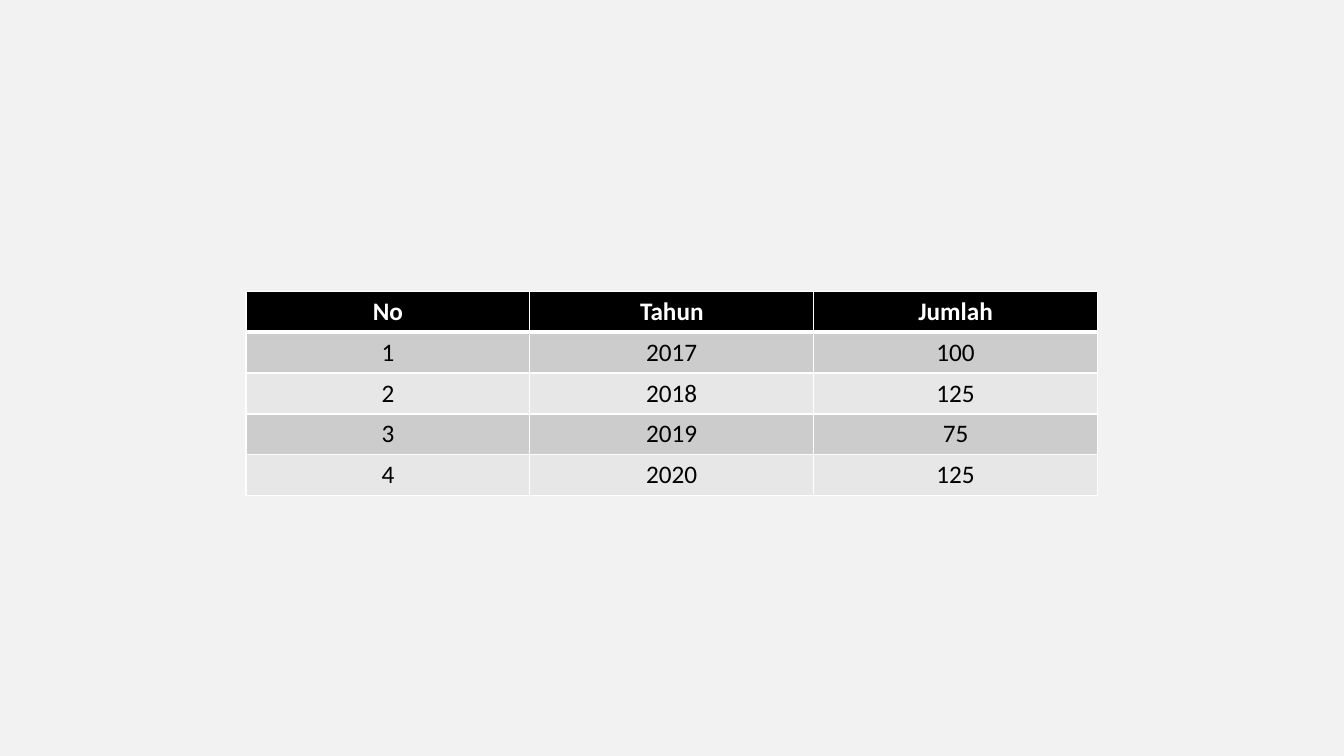
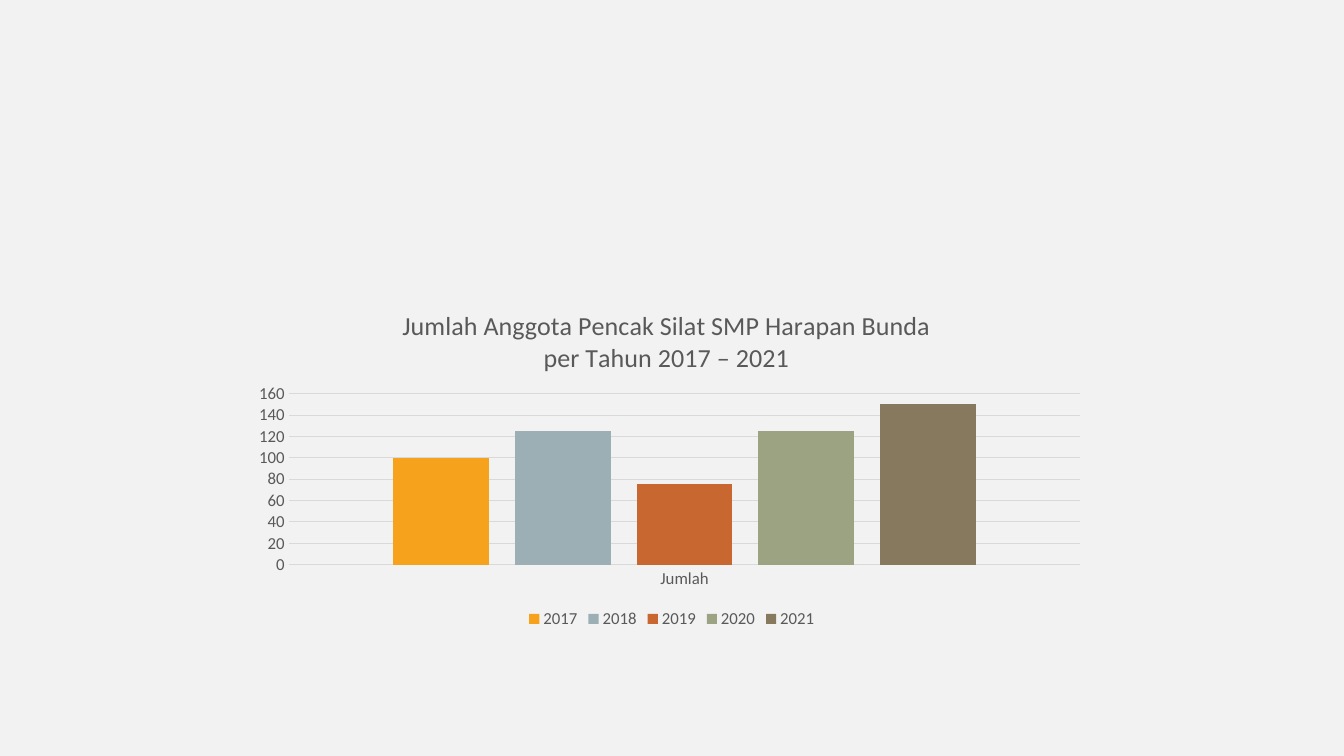
import pptx
import pptx.chart.data
import pptx.dml.color
import pptx.enum.chart
import pptx.enum.text
import pptx.oxml
import pptx.oxml.ns
import pptx.util

Cm = pptx.util.Cm
Pt = pptx.util.Pt
enum = pptx.enum.chart

ROWS = [
    ("No", "Tahun", "Jumlah"),
    ("1", "2017", "100"),
    ("2", "2018", "125"),
    ("3", "2019", "75"),
    ("4", "2020", "125"),
]
TITLE = ("Jumlah Anggota Pencak Silat SMP Harapan Bunda", "per Tahun 2017 – 2021")
GROUP = "Jumlah"
BARS = [
    ("2017", 100, "amber"),
    ("2018", 125, "steel"),
    ("2019", 75, "rust"),
    ("2020", 125, "sage"),
    ("2021", 150, "brown"),
]
COLORS = {
    "page": "F2F2F2", "white": "FFFFFF", "black": "000000",
    "dark": "CCCCCC", "light": "E7E7E7", "text": "595959", "grid": "D9D9D9",
    "amber": "F6A21D", "steel": "9BAFB5", "rust": "C96731",
    "sage": "9CA383", "brown": "87795D",
}
FONT = "Calibri"
LEFT, TOP, WIDTH = Cm(6.2), Cm(7.34), Cm(21.46)
ROW, HEIGHT = Cm(1.03), Cm(8.61)
PLOT = {"x": 0.05, "y": 0.3, "w": 0.93, "h": 0.5}
HEAD = {"x": 0.18, "y": 0.04}


def color(name):
    return pptx.dml.color.RGBColor.from_string(COLORS[name])


def assign(item, values):
    for name, value in values.items():
        setattr(item, name, value)


def paint(fill, name):
    fill.solid()
    fill.fore_color.rgb = color(name)


def style(font, size, name, bold=False):
    assign(font, {"name": FONT, "size": Pt(size), "bold": bold})
    font.color.rgb = color(name)


def border(cell, sides):
    props = cell._tc.get_or_add_tcPr()
    for place, (side, width) in enumerate(sides.items()):
        props.insert(place, pptx.oxml.parse_xml(
            f'<a:ln{side} {pptx.oxml.ns.nsdecls("a")} w="{Pt(width)}">'
            f'<a:solidFill><a:srgbClr val="{COLORS["white"]}"/></a:solidFill>'
            f'</a:ln{side}>'))


def locate(parent, spots, inner=False):
    old = parent.find(pptx.oxml.ns.qn("c:layout"))
    if old is not None:
        parent.remove(old)
    target = '<c:layoutTarget val="inner"/>' if inner else ""
    modes = "".join(f'<c:{key}Mode val="edge"/>' for key in "xy")
    sizes = "".join(f'<c:{key} val="{value}"/>' for key, value in spots.items())
    layout = pptx.oxml.parse_xml(
        f'<c:layout {pptx.oxml.ns.nsdecls("c")}><c:manualLayout>'
        f'{target}{modes}{sizes}</c:manualLayout></c:layout>')
    parent.insert(0 if inner else 1, layout)


def add_grid(slide):
    count = len(ROWS[0])
    table = slide.shapes.add_table(
        len(ROWS), count, LEFT, TOP, WIDTH, ROW * len(ROWS)).table
    for column in table.columns:
        column.width = WIDTH // count
    for index, row in enumerate(ROWS):
        head = index == 0
        table.rows[index].height = ROW
        shade = "black" if head else ("light", "dark")[index % 2]
        sides = {"L": 1, "R": 1, "T": 3 if index == 1 else 1, "B": 3 if head else 1}
        for place, text in enumerate(row):
            cell = table.cell(index, place)
            cell.text = text
            para = cell.text_frame.paragraphs[0]
            para.alignment = pptx.enum.text.PP_ALIGN.CENTER
            style(para.runs[0].font, 18, "white" if head else "black", head)
            paint(cell.fill, shade)
            border(cell, sides)


def add_bars(slide):
    data = pptx.chart.data.CategoryChartData()
    data.categories = [GROUP]
    for name, value, _ in BARS:
        data.add_series(name, [value])
    chart = slide.shapes.add_chart(
        enum.XL_CHART_TYPE.COLUMN_CLUSTERED, LEFT, TOP, WIDTH, HEIGHT, data).chart
    style(chart.font, 10, "black")

    frame = chart.chart_title.text_frame
    frame.text = "\n".join(TITLE)
    for para in frame.paragraphs:
        style(para.runs[0].font, 18.6, "text")
    locate(chart.chart_title._element, HEAD)
    locate(chart.plots[0]._element.getparent(), PLOT, True)

    plot = chart.plots[0]
    assign(plot, {"gap_width": 219, "overlap": -27, "vary_by_categories": False})
    for series, (_, _, name) in zip(plot.series, BARS):
        paint(series.format.fill, name)

    for axis in (chart.category_axis, chart.value_axis):
        assign(axis, {"major_tick_mark": enum.XL_TICK_MARK.NONE,
                      "minor_tick_mark": enum.XL_TICK_MARK.NONE})
        style(axis.tick_labels.font, 12, "text")
    assign(chart.value_axis, {"minimum_scale": 0, "maximum_scale": 160, "major_unit": 20})
    chart.value_axis.format.line.fill.background()
    for part in (chart.category_axis, chart.value_axis.major_gridlines):
        part.format.line.width = Pt(0.75)
        paint(part.format.line.fill, "grid")

    chart.has_legend = True
    assign(chart.legend, {"position": enum.XL_LEGEND_POSITION.BOTTOM,
                          "include_in_layout": False})
    style(chart.legend.font, 12, "text")


def main():
    deck = pptx.Presentation()
    assign(deck, {"slide_width": Cm(33.87), "slide_height": Cm(19.05)})
    paint(deck.slide_master.background.fill, "page")
    for build in (add_grid, add_bars):
        build(deck.slides.add_slide(deck.slide_layouts[6]))
    deck.save("out.pptx")


if __name__ == "__main__":
    main()
